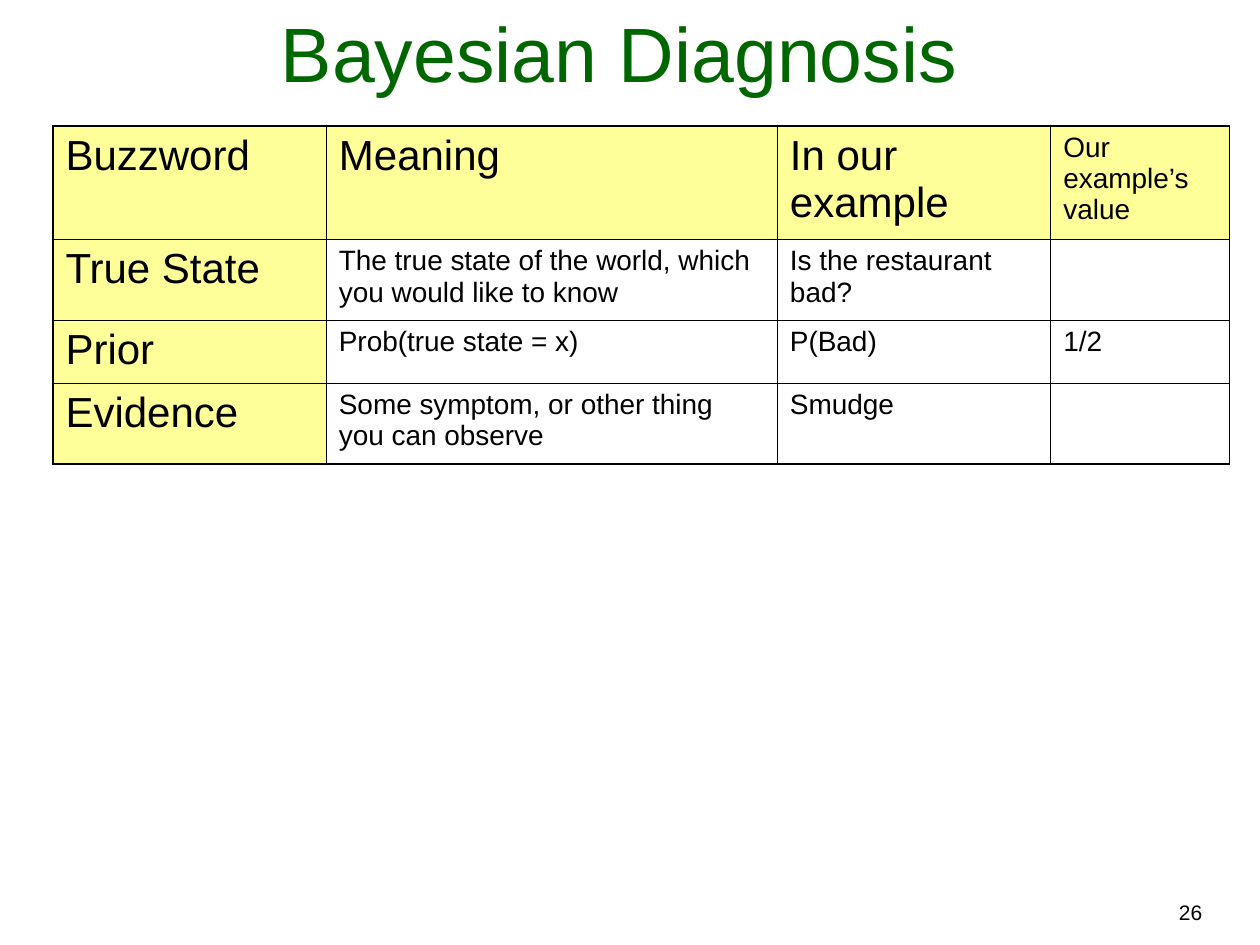
"""Build the Bayesian Diagnosis slide with its glossary table."""
from lxml import etree
from pptx import Presentation
from pptx.dml.color import RGBColor
from pptx.enum.text import MSO_ANCHOR, MSO_AUTO_SIZE, PP_ALIGN
from pptx.oxml.ns import qn
from pptx.util import Inches, Pt

CENTER, RIGHT = PP_ALIGN.CENTER, PP_ALIGN.RIGHT
TOP, BOTTOM = MSO_ANCHOR.TOP, MSO_ANCHOR.BOTTOM
NO_AUTOFIT = MSO_AUTO_SIZE.NONE

TITLE = "Bayesian Diagnosis"
PAGE_NUMBER = "26"
GLOSSARY = [
    ("Buzzword", "Meaning", "In our example", "Our example’s value"),
    ("True State", "The true state of the world, which you would like to know",
     "Is the restaurant bad?", ""),
    ("Prior", "Prob(true state = x)", "P(Bad)", "1/2"),
    ("Evidence", "Some symptom, or other thing you can observe", "Smudge", ""),
]
COLUMN_WIDTHS = [2.17, 3.58, 2.17, 1.42]
ROW_HEIGHTS = [0.9, 0.64, 0.5, 0.64]
FONT, BLACK, GREEN, YELLOW = "Arial", "000000", "006600", "FFFF99"
HEADING_SIZE, DETAIL_SIZE = 24, 16
OUTER_LINE, INNER_LINE = 1.08, 0.45


def rgb(color):
    return RGBColor.from_string(color)


def write(frame, text, size, color=BLACK, align=None):
    paragraph = frame.paragraphs[0]
    paragraph.alignment = align
    run = paragraph.add_run()
    run.text = text
    run.font.name, run.font.size = FONT, Pt(size)
    run.font.color.rgb = rgb(color)


def add_borders(cell, outer_edges):
    properties = cell._tc.get_or_add_tcPr()
    for edge, is_outer in outer_edges.items():
        width = Pt(OUTER_LINE if is_outer else INNER_LINE)
        line = etree.SubElement(properties, qn(f"a:ln{edge}"), w=str(width))
        fill = etree.SubElement(line, qn("a:solidFill"))
        etree.SubElement(fill, qn("a:srgbClr"), val=BLACK)


def add_title(slide):
    title = slide.shapes.title
    title.left, title.top = Inches(0.25), Inches(0.08)
    title.width, title.height = Inches(9.33), Inches(0.75)
    frame = title.text_frame
    frame.auto_size, frame.vertical_anchor = NO_AUTOFIT, BOTTOM
    write(frame, TITLE, 44, GREEN, CENTER)


def add_page_number(slide):
    number = slide.shapes.add_textbox(Inches(5.72), Inches(7.09), Inches(3.92), Inches(0.3))
    number.text_frame.word_wrap = True
    write(number.text_frame, PAGE_NUMBER, 12, align=RIGHT)


def add_glossary(slide):
    last_row, last_column = len(ROW_HEIGHTS) - 1, len(COLUMN_WIDTHS) - 1
    table = slide.shapes.add_table(
        len(ROW_HEIGHTS), len(COLUMN_WIDTHS), Inches(0.42), Inches(1),
        Inches(sum(COLUMN_WIDTHS)), Inches(sum(ROW_HEIGHTS))).table
    table.first_row = table.horz_banding = False
    for column, width in zip(table.columns, COLUMN_WIDTHS):
        column.width = Inches(width)
    for row, height in zip(table.rows, ROW_HEIGHTS):
        row.height = Inches(height)
    for r, entries in enumerate(GLOSSARY):
        for c, entry in enumerate(entries):
            cell = table.cell(r, c)
            cell.vertical_anchor = TOP
            add_borders(cell, {"L": c == 0, "R": c == last_column,
                               "T": r == 0, "B": r == last_row})
            if r == 0 or c == 0:
                cell.fill.solid()
                cell.fill.fore_color.rgb = rgb(YELLOW)
            else:
                cell.fill.background()
            is_heading = c == 0 or (r == 0 and c < last_column)
            if entry:
                write(cell.text_frame, entry, HEADING_SIZE if is_heading else DETAIL_SIZE)


def main():
    deck = Presentation()
    deck.slide_width, deck.slide_height = Inches(10), Inches(7.5)
    slide = deck.slides.add_slide(deck.slide_layouts[5])
    add_page_number(slide)
    add_title(slide)
    add_glossary(slide)
    deck.save("out.pptx")


if __name__ == "__main__":
    main()
